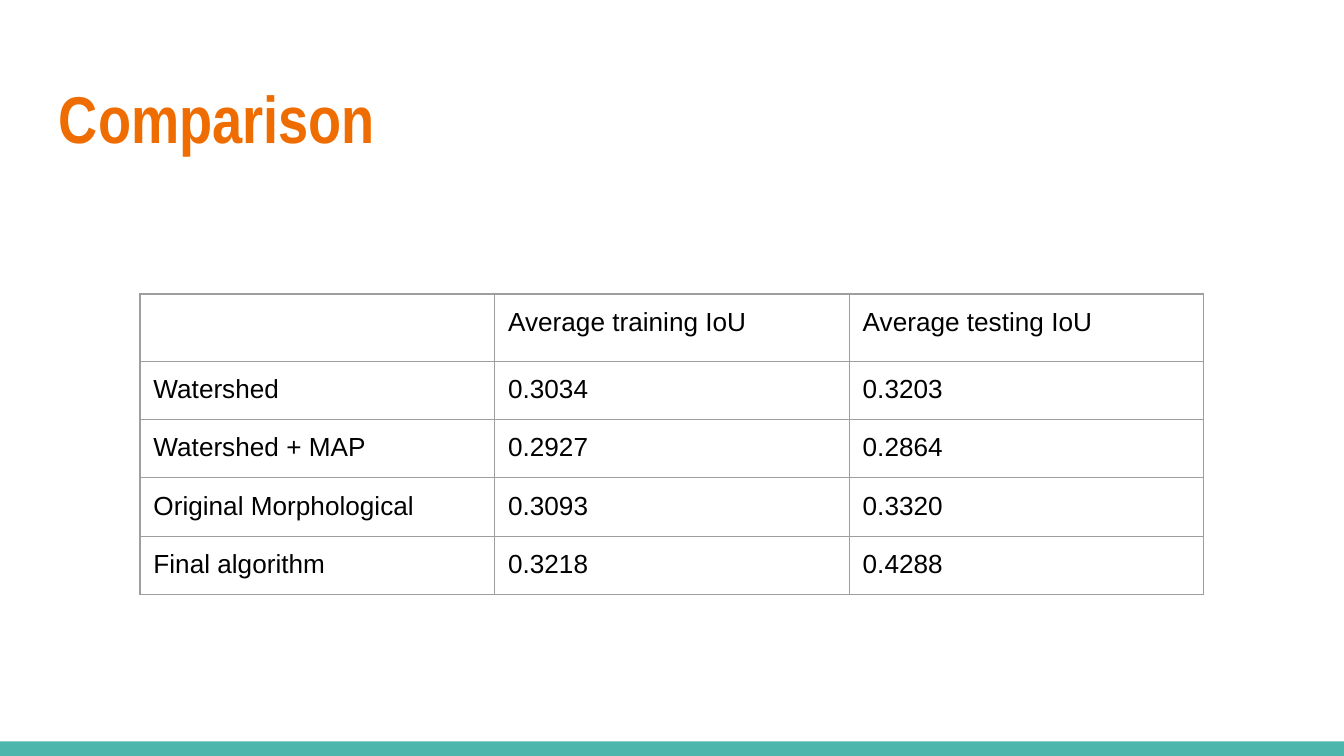
from pptx import Presentation
from pptx.dml.color import RGBColor
from pptx.enum.shapes import MSO_SHAPE
from pptx.enum.text import MSO_ANCHOR
from pptx.oxml.xmlchemy import OxmlElement
from pptx.util import Pt

RECTANGLE = MSO_SHAPE.RECTANGLE
BOTTOM = MSO_ANCHOR.BOTTOM
TOP = MSO_ANCHOR.TOP

TITLE = "Comparison"
SCORES = [
    ("", "Average training IoU", "Average testing IoU"),
    ("Watershed", "0.3034", "0.3203"),
    ("Watershed + MAP", "0.2927", "0.2864"),
    ("Original Morphological", "0.3093", "0.3320"),
    ("Final algorithm", "0.3218", "0.4288"),
]

WIDTH, HEIGHT = 720, 405
FOOTER_HEIGHT = 7.8
COLUMN_WIDTH, ROW_HEIGHT = 190, 30
INSET = 7.2
ORANGE, TEAL, GREY, BLACK = "EF6C00", "4DB6AC", "9E9E9E", "000000"


def color(value):
    return RGBColor.from_string(value)


def set_margins(area):
    area.margin_left = area.margin_right = Pt(INSET)
    area.margin_top = area.margin_bottom = Pt(INSET)


def add_text(frame, text, font, size, fill, bold=False):
    run = frame.paragraphs[0].add_run()
    run.text = text
    run.font.name = font
    run.font.size = Pt(size)
    run.font.bold = bold
    run.font.color.rgb = color(fill)


def add_borders(cell):
    properties = cell._tc.get_or_add_tcPr()
    for position, side in enumerate(("lnL", "lnR", "lnT", "lnB")):
        line = OxmlElement(f"a:{side}")
        line.set("w", str(Pt(0.75)))
        solid = OxmlElement("a:solidFill")
        shade = OxmlElement("a:srgbClr")
        shade.set("val", GREY)
        solid.append(shade)
        line.append(solid)
        properties.insert(position, line)


def main():
    deck = Presentation()
    deck.slide_width, deck.slide_height = Pt(WIDTH), Pt(HEIGHT)
    slide = deck.slides.add_slide(deck.slide_layouts[6])

    footer = slide.shapes.add_shape(
        RECTANGLE, 0, Pt(HEIGHT - FOOTER_HEIGHT), Pt(WIDTH), Pt(FOOTER_HEIGHT))
    footer.shadow.inherit = False
    footer.fill.solid()
    footer.fill.fore_color.rgb = color(TEAL)
    footer.line.fill.background()

    title = slide.shapes.add_textbox(Pt(24.5), Pt(35.5), Pt(671), Pt(55.5)).text_frame
    title.word_wrap = True
    title.vertical_anchor = BOTTOM
    set_margins(title)
    add_text(title, TITLE, "Arial Narrow", 35.4, ORANGE, True)

    row_count, column_count = len(SCORES), len(SCORES[0])
    table_width = COLUMN_WIDTH * column_count
    table = slide.shapes.add_table(
        row_count, column_count, Pt((WIDTH - table_width) / 2), Pt(157.5),
        Pt(table_width), Pt(ROW_HEIGHT * row_count)).table
    table.first_row = table.horz_banding = False
    for column in table.columns:
        column.width = Pt(COLUMN_WIDTH)
    for row, values in zip(table.rows, SCORES):
        row.height = Pt(ROW_HEIGHT)
        for cell, value in zip(row.cells, values):
            cell.fill.background()
            cell.vertical_anchor = TOP
            set_margins(cell)
            add_borders(cell)
            if value:
                add_text(cell.text_frame, value, "Arial", 14, BLACK)

    deck.save("out.pptx")


if __name__ == "__main__":
    main()
